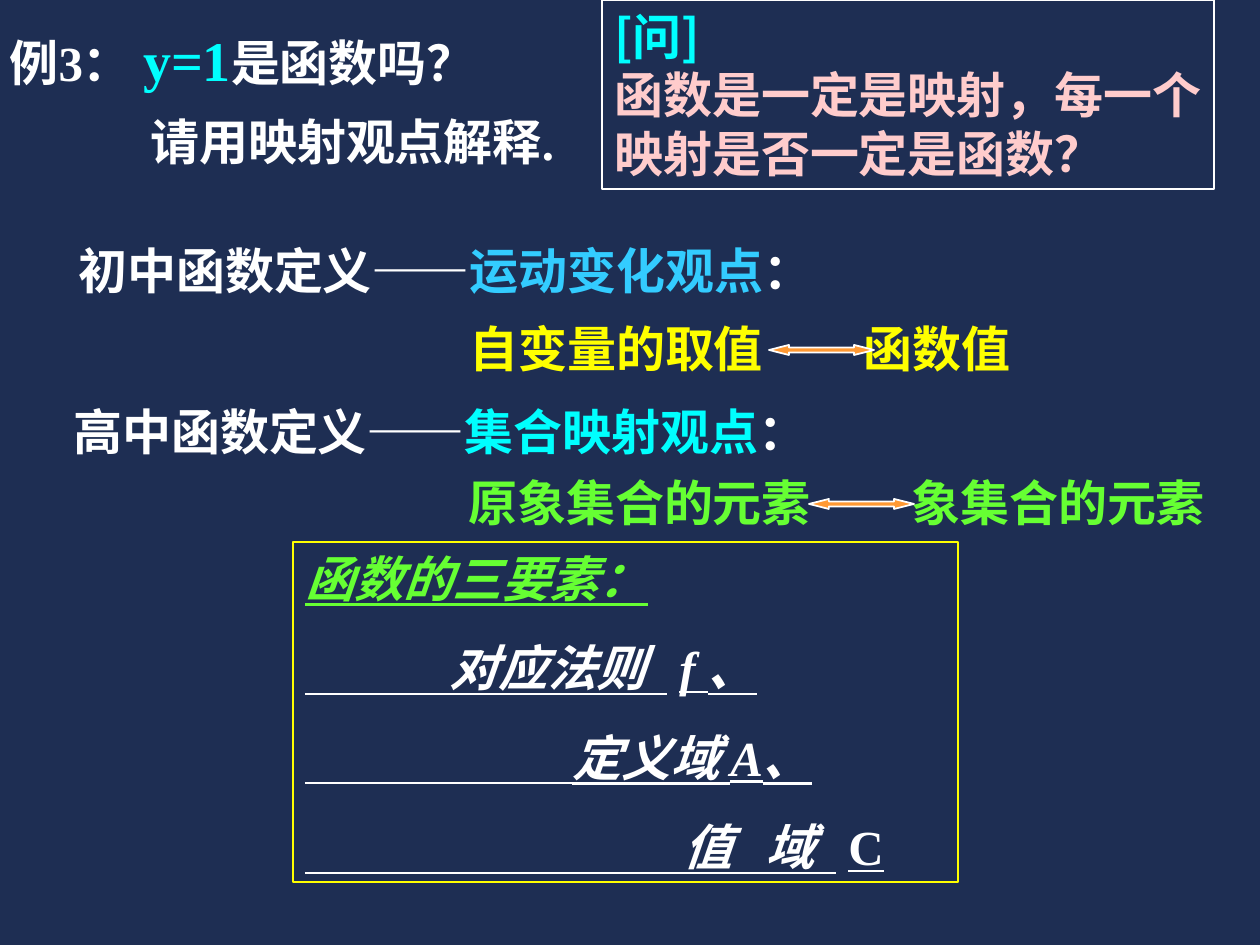
from dataclasses import dataclass

from lxml import etree
from pptx import Presentation
from pptx.dml.color import RGBColor
from pptx.enum.shapes import MSO_CONNECTOR, MSO_SHAPE
from pptx.enum.text import MSO_ANCHOR, MSO_AUTO_SIZE, PP_ALIGN
from pptx.oxml.ns import qn
from pptx.util import Emu, Pt

PX = 914400 // 126  # EMU in one px
LEFT, TOP, NO_FIT = PP_ALIGN.LEFT, MSO_ANCHOR.TOP, MSO_AUTO_SIZE.NONE
RECTANGLE, DOUBLE_ARROW = MSO_SHAPE.RECTANGLE, MSO_SHAPE.LEFT_RIGHT_ARROW
STRAIGHT = MSO_CONNECTOR.STRAIGHT
SERIF, SANS = "Times New Roman", "Noto Sans CJK SC"
COLORS = {
    "navy": "1E2E53", "white": "FFFFFF", "cyan": "00FFFF", "sky": "33CCFF",
    "yellow": "FFFF00", "green": "66FF33", "pink": "FFCCCC", "orange": "FF9933",
}


@dataclass
class Piece:
    text: str
    color: str = "white"
    size: int = 28
    italic: bool = False
    underline: bool = False


@dataclass
class Line:
    pieces: list[Piece]
    tabs: tuple[int, ...] = ()
    space_before: float = 0


@dataclass
class Box:
    left: int
    top: int
    width: int
    height: int
    lines: list[Line]
    font: str = SERIF
    border: str = ""
    wrap: bool = False


def element(text: str, color: str, tabs: tuple[int, ...], space: float = 17.5) -> Line:
    """One underlined italic line of the list of elements."""
    return Line([Piece(text, color, italic=True, underline=True)], tabs, space)


def color(name: str) -> RGBColor:
    return RGBColor.from_string(COLORS[name])


def place(shape, left: int, top: int, width: int, height: int) -> None:
    shape.left, shape.top = Emu(left * PX), Emu(top * PX)
    shape.width, shape.height = Emu(width * PX), Emu(height * PX)


def outline(shape, name: str, width: float = 1) -> None:
    shape.line.color.rgb = color(name)
    shape.line.width = Pt(width)


def style(font, piece: Piece, name: str) -> None:
    font.name, font.size, font.bold = name, Pt(piece.size), True
    font.italic, font.underline = piece.italic, piece.underline
    font.color.rgb = color(piece.color)


def add_tabs(paragraph, tabs: tuple[int, ...]) -> None:
    properties = paragraph._p.get_or_add_pPr()
    tab_list = etree.SubElement(properties, qn("a:tabLst"))
    for stop in tabs:
        etree.SubElement(tab_list, qn("a:tab"), pos=str(stop * PX), algn="l")


def fill_box(shape, box: Box) -> None:
    place(shape, box.left, box.top, box.width, box.height)
    frame = shape.text_frame
    frame.word_wrap, frame.auto_size = box.wrap, NO_FIT
    frame.vertical_anchor = TOP
    for index, line in enumerate(box.lines):
        paragraph = frame.paragraphs[0] if index == 0 else frame.add_paragraph()
        paragraph.alignment = LEFT
        paragraph.space_before = Pt(line.space_before)
        if line.tabs:
            add_tabs(paragraph, line.tabs)
        if len(line.pieces) == 1:
            style(paragraph.font, line.pieces[0], box.font)
        for piece in line.pieces:
            run = paragraph.add_run()
            run.text = piece.text
            if len(line.pieces) > 1:
                style(run.font, piece, box.font)


def add_box(slide, box: Box) -> None:
    if box.border:
        shape = slide.shapes.add_shape(RECTANGLE, 0, 0, 0, 0)
        shape.shadow.inherit = False
        shape.fill.background()
        outline(shape, box.border)
    else:
        shape = slide.shapes.add_textbox(0, 0, 0, 0)
    fill_box(shape, box)


def add_double_arrow(slide, left: int, top: int) -> None:
    arrow = slide.shapes.add_shape(DOUBLE_ARROW, 0, 0, 0, 0)
    place(arrow, left, top, 105, 10)
    arrow.adjustments[0], arrow.adjustments[1] = 0.5, 1.99
    arrow.shadow.inherit = False
    arrow.fill.solid()
    arrow.fill.fore_color.rgb = color("orange")
    outline(arrow, "white")


def add_rule(slide, left: int, right: int, y: int) -> None:
    rule = slide.shapes.add_connector(
        STRAIGHT, Emu(left * PX), Emu(y * PX), Emu(right * PX), Emu(y * PX))
    outline(rule, "white", 1.5)
    etree.SubElement(rule._element.spPr, qn("a:effectLst"))


TITLE = Box(-3, 19, 539, 81, [
    Line([Piece("例3： "), Piece("y=1", "cyan", 32), Piece("是函数吗？")]),
])
BOXES = [
    # Two definitions and their viewpoints
    Box(66, 234, 759, 72, [
        Line([Piece("初中函数定义——"), Piece("运动变化观点", "sky"), Piece("：")])]),
    Box(61, 395, 759, 72, [
        Line([Piece("高中函数定义——"), Piece("集合映射观点", "cyan"), Piece("：")])]),
    # Pairs joined by the double arrows
    Box(457, 312, 566, 72, [Line([Piece("自变量的取值\t函数值", "yellow")], (394,))]),
    Box(456, 466, 761, 72, [Line([Piece("原象集合的元素\t象集合的元素", "green")], (443,))]),
    # Question and task
    Box(602, 0, 612, 189, [
        Line([Piece("[问]", "cyan")]),
        Line([Piece("函数是一定是映射，每一个", "pink")]),
        Line([Piece("映射是否一定是函数？", "pink")]),
    ], font=SANS, border="white"),
    Box(138, 105, 440, 72, [Line([Piece("请用映射观点解释.")])]),
    # Three elements of a function
    Box(293, 542, 665, 340, [
        element("函数的三要素：", "green", (), 0),
        element("\t对应法则\tf 、", "white", (144, 374)),
        element("\t定义域 A、", "white", (267,)),
        Line([Piece("\t值\t域\t", italic=True, underline=True),
              Piece("C", underline=True)], (378, 460, 543), 17.5),
    ], border="yellow", wrap=True),
]
ARROWS = [(769, 345), (809, 499)]
# Underlines that run on through the tab gaps: right end and height
RULE_LEFT = 305
RULES = [(667, 694), (729, 783), (836, 873)]


def main() -> None:
    presentation = Presentation()
    presentation.slide_width, presentation.slide_height = Emu(1260 * PX), Emu(945 * PX)
    slide = presentation.slides.add_slide(presentation.slide_layouts[5])
    slide.background.fill.solid()
    slide.background.fill.fore_color.rgb = color("navy")

    fill_box(slide.shapes.title, TITLE)
    for box in BOXES:
        add_box(slide, box)
    for left, top in ARROWS:
        add_double_arrow(slide, left, top)
    for right, y in RULES:
        add_rule(slide, RULE_LEFT, right, y)
    presentation.save("out.pptx")


if __name__ == "__main__":
    main()
